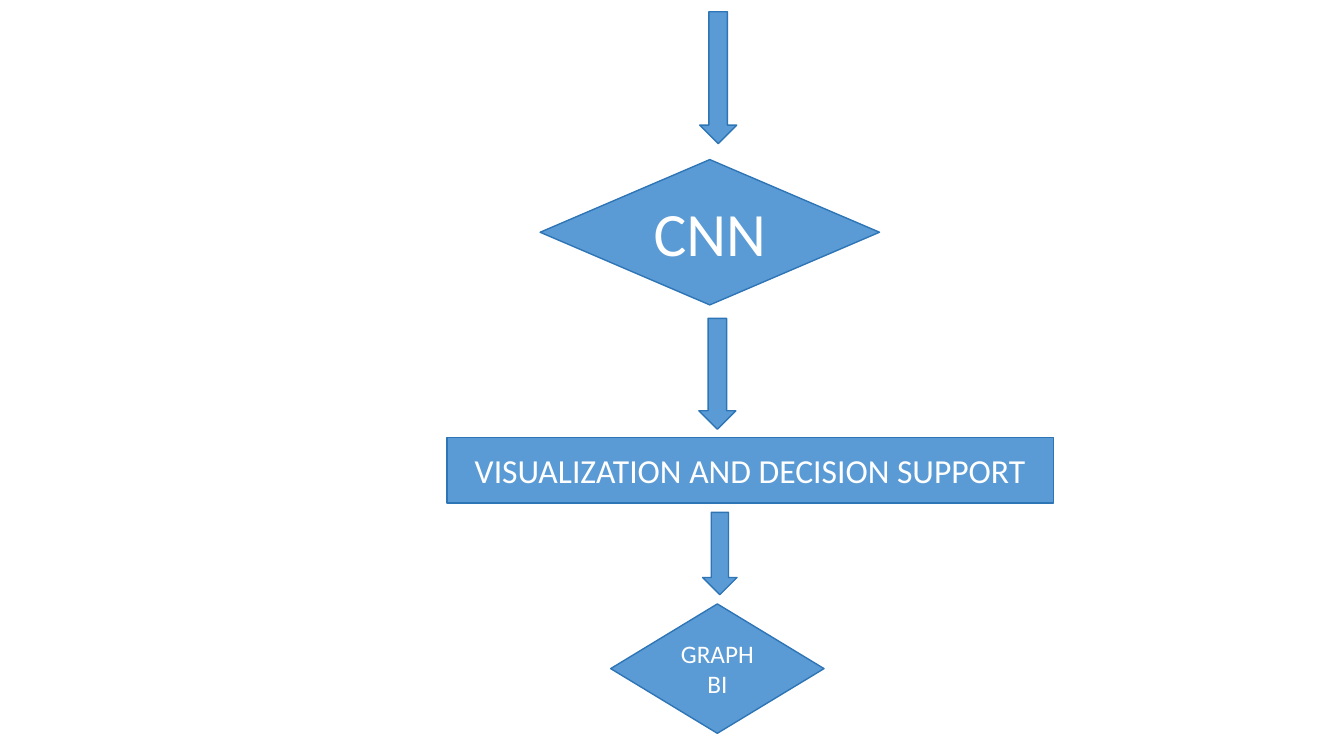
from dataclasses import dataclass

from pptx import Presentation
from pptx.dml.color import RGBColor
from pptx.enum.shapes import MSO_SHAPE
from pptx.enum.text import MSO_ANCHOR, PP_ALIGN
from pptx.util import Inches, Pt

ARROW = MSO_SHAPE.DOWN_ARROW
DECISION = MSO_SHAPE.FLOWCHART_DECISION
PROCESS = MSO_SHAPE.RECTANGLE
CENTER = PP_ALIGN.CENTER
MIDDLE = MSO_ANCHOR.MIDDLE
BLANK_LAYOUT = 6
COLUMNS, ROWS = 16, 9


@dataclass(frozen=True)
class Theme:
    """Colours, font and type sizes of the slide."""
    fill: RGBColor = RGBColor(0x5B, 0x9B, 0xD5)
    line: RGBColor = RGBColor(0x2E, 0x75, 0xB6)
    text: RGBColor = RGBColor(0xFF, 0xFF, 0xFF)
    font: str = "Calibri"
    line_width: Pt = Pt(1)
    large: Pt = Pt(44)
    medium: Pt = Pt(24)
    small: Pt = Pt(18)


@dataclass(frozen=True)
class Box:
    """A rectangle on the slide."""
    left: int
    top: int
    width: int
    height: int


@dataclass(frozen=True)
class Step:
    """A flow shape: centre column, top row, and size in columns and rows."""
    kind: MSO_SHAPE
    center: float
    top: float
    width: float
    height: float
    label: str = ""
    size: Pt = None


THEME = Theme()
STEPS = (
    Step(ARROW, 8.55, 0.14, 0.44, 1.57),
    Step(DECISION, 8.45, 1.9, 4.04, 1.73, "CNN", THEME.large),
    Step(ARROW, 8.54, 3.79, 0.44, 1.32),
    Step(PROCESS, 8.93, 5.21, 7.22, 0.78,
         "VISUALIZATION AND DECISION SUPPORT", THEME.medium),
    Step(ARROW, 8.57, 6.1, 0.41, 0.98),
    Step(DECISION, 8.54, 7.19, 2.54, 1.54, "GRAPH BI", THEME.small),
)


def add_label(shape, label, size):
    """Write a centred label inside a shape."""
    frame = shape.text_frame
    frame.word_wrap = True
    frame.vertical_anchor = MIDDLE
    para = frame.paragraphs[0]
    para.alignment = CENTER
    span = para.add_run()
    span.text = label
    span.font.name = THEME.font
    span.font.size = size
    span.font.color.rgb = THEME.text


def add_step(page, step, box):
    """Draw one step on the grid of the given box."""
    column, row = box.width / COLUMNS, box.height / ROWS
    shape = page.shapes.add_shape(
        step.kind,
        round(box.left + (step.center - step.width / 2) * column),
        round(box.top + step.top * row),
        round(step.width * column),
        round(step.height * row),
    )
    shape.shadow.inherit = False
    shape.fill.solid()
    shape.fill.fore_color.rgb = THEME.fill
    shape.line.color.rgb = THEME.line
    shape.line.width = THEME.line_width
    if step.label:
        add_label(shape, step.label, step.size)


def add_flow(page, steps, box):
    """Draw the whole flow inside the given box."""
    for step in steps:
        add_step(page, step, box)


def main():
    """Build and save the deck."""
    deck = Presentation()
    deck.slide_width, deck.slide_height = Inches(13.33), Inches(7.5)
    page = deck.slides.add_slide(deck.slide_layouts[BLANK_LAYOUT])
    add_flow(page, STEPS, Box(0, 0, deck.slide_width, deck.slide_height))
    deck.save("out.pptx")


if __name__ == "__main__":
    main()
